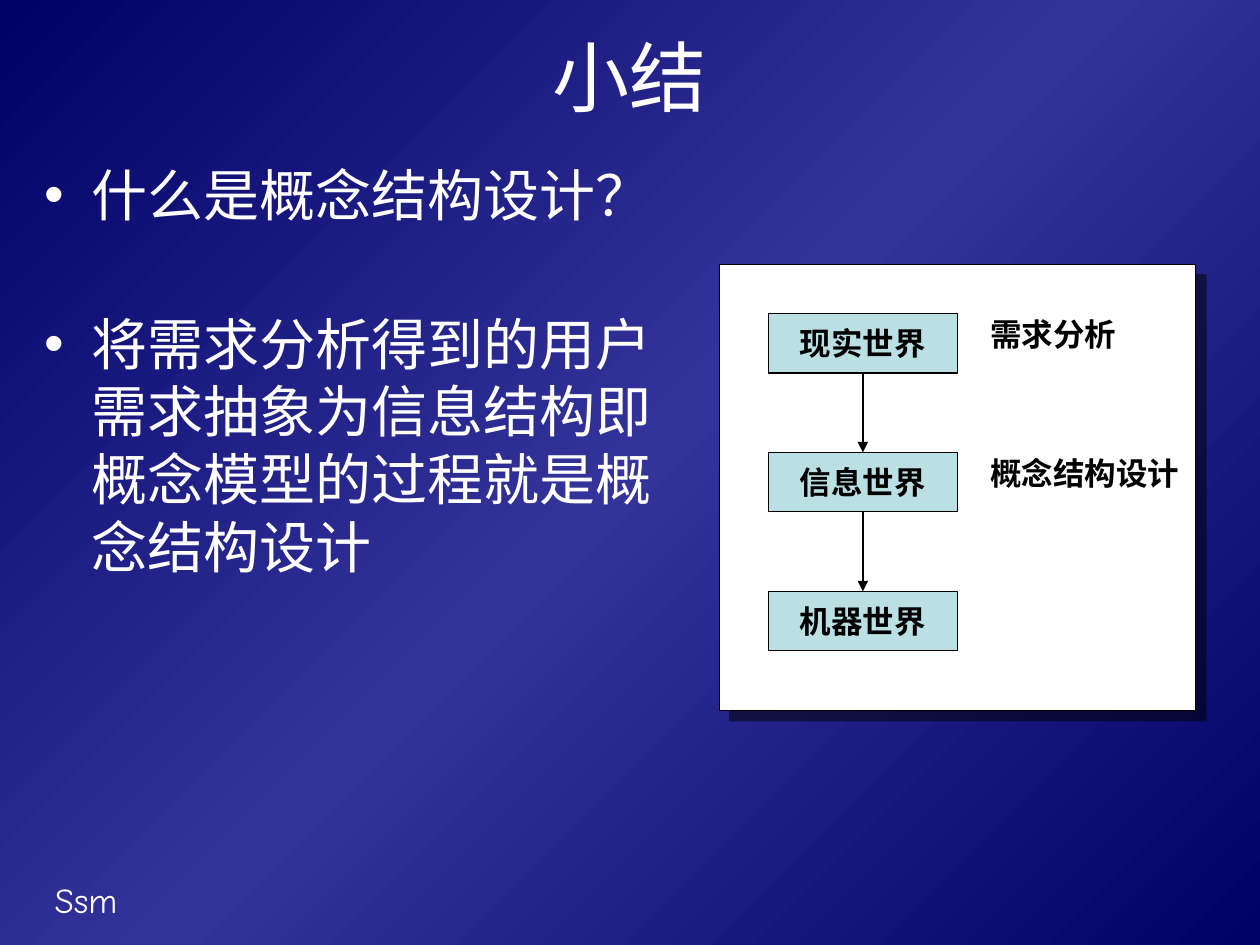
"""Build the summary slide on conceptual structure design."""
from copy import deepcopy
from dataclasses import dataclass

from lxml.etree import SubElement
from pptx import Presentation
from pptx.dml.color import RGBColor
from pptx.enum.shapes import MSO_CONNECTOR as Link, MSO_SHAPE as Preset
from pptx.enum.text import MSO_ANCHOR as Anchor, PP_ALIGN as Align
from pptx.oxml.ns import qn
from pptx.util import Cm, Pt

HAN = "Noto Sans CJK SC"
WHITE, BLACK, NAVY, INDIGO, PALE = "FFFFFF", "000000", "000066", "333399", "BBE0E3"
STAGE_LEFT, STAGE_TOP, STAGE_WIDTH, STAGE_HEIGHT, STAGE_PITCH = 15.49, 6.32, 3.81, 1.2, 2.8
LINE_PITCH, BULLET_GAP = 38.6, 8


@dataclass
class Area:
    left: float
    top: float
    width: float
    height: float

    def lengths(self):
        return [Cm(v) for v in (self.left, self.top, self.width, self.height)]


@dataclass
class Style:
    face: str
    size: float
    color: str
    bold: bool = False


@dataclass
class Stage:
    world: str
    task: str = ""


HEADING = Style(HAN, 44, WHITE)
BODY = Style(HAN, 32, WHITE)
FOOTER = Style("Comic Neue", 20, WHITE)
DIAGRAM = Style("Arial", 18, BLACK, True)
STAGES = [
    Stage("现实世界", "需求分析"),
    Stage("信息世界", "概念结构设计"),
    Stage("机器世界"),
]
POINTS = [
    "什么是概念结构设计？",
    "将需求分析得到的用户\n需求抽象为信息结构即\n概念模型的过程就是概\n念结构设计",
]


def rgb(color: str) -> RGBColor:
    return RGBColor.from_string(color)


def format_runs(paragraph, style: Style) -> None:
    for run in paragraph.runs:
        font = run.font
        font.name, font.size, font.bold = style.face, Pt(style.size), style.bold
        font.color.rgb = rgb(style.color)
        SubElement(font._element, qn("a:ea"), typeface=HAN)


def add_text(slide, area: Area, text: str, style: Style, align=Align.LEFT, anchor=Anchor.TOP) -> None:
    frame = slide.shapes.add_textbox(*area.lengths()).text_frame
    frame.word_wrap, frame.vertical_anchor = True, anchor
    frame.text = text
    frame.paragraphs[0].alignment = align
    format_runs(frame.paragraphs[0], style)


def add_points(slide, area: Area, points: list[str]) -> None:
    frame = slide.shapes.add_textbox(*area.lengths()).text_frame
    frame.word_wrap = True
    for index, point in enumerate(points):
        paragraph = frame.add_paragraph() if index else frame.paragraphs[0]
        paragraph.text = point
        paragraph.line_spacing = Pt(LINE_PITCH)
        paragraph.space_before = Pt(LINE_PITCH + BULLET_GAP if index else 0)
        props = paragraph._p.get_or_add_pPr()
        props.set("marL", str(Cm(0.95)))
        props.set("indent", str(-Cm(0.95)))
        bullet_color = SubElement(props, qn("a:buClr"))
        SubElement(bullet_color, qn("a:srgbClr"), val=WHITE)
        SubElement(props, qn("a:buFont"), typeface="Arial")
        SubElement(props, qn("a:buChar"), char="•")
        format_runs(paragraph, BODY)


def add_box(slide, area: Area, color: str):
    box = slide.shapes.add_shape(Preset.RECTANGLE, *area.lengths())
    box.shadow.inherit = False
    box.fill.solid()
    box.fill.fore_color.rgb = rgb(color)
    box.line.color.rgb = rgb(BLACK)
    box.line.width = Pt(0.75)
    return box


def add_panel(slide, area: Area) -> None:
    panel = add_box(slide, area, WHITE)
    effects = panel._element.spPr.find(qn("a:effectLst"))
    shadow = SubElement(effects, qn("a:outerShdw"), dist=str(Pt(8.5)), dir="2700000", algn="ctr", rotWithShape="0")
    shade = SubElement(shadow, qn("a:srgbClr"), val=BLACK)
    SubElement(shade, qn("a:alpha"), val="50000")


def add_stage(slide, stage: Stage, top: float) -> None:
    box = add_box(slide, Area(STAGE_LEFT, top, STAGE_WIDTH, STAGE_HEIGHT), PALE)
    frame = box.text_frame
    frame.word_wrap, frame.vertical_anchor = False, Anchor.MIDDLE
    frame.text = stage.world
    frame.paragraphs[0].alignment = Align.CENTER
    format_runs(frame.paragraphs[0], DIAGRAM)
    if stage.task:
        add_text(slide, Area(19.71, top - 0.09, 4.8, 1.02), stage.task, DIAGRAM)


def add_arrow(slide, x: float, start: float, end: float) -> None:
    arrow = slide.shapes.add_connector(Link.STRAIGHT, Cm(x), Cm(start), Cm(x), Cm(end))
    arrow.line.color.rgb = rgb(BLACK)
    arrow.line.width = Pt(0.75)
    SubElement(arrow.line._get_or_add_ln(), qn("a:tailEnd"), type="triangle")
    SubElement(arrow._element.spPr, qn("a:effectLst"))


def paint_background(slide) -> None:
    fill = slide.background.fill
    fill.gradient()
    fill.gradient_angle = 315
    stop_list = slide.element.find(".//" + qn("a:gsLst"))
    stop_list.append(deepcopy(stop_list[-1]))
    for stop, color, position in zip(fill.gradient_stops, (NAVY, INDIGO, NAVY), (0, 0.5, 1)):
        stop.color.rgb = rgb(color)
        stop.position = position


def main() -> None:
    deck = Presentation()
    deck.slide_width, deck.slide_height = Cm(25.4), Cm(19.05)
    slide = deck.slides.add_slide(deck.slide_layouts[6])
    paint_background(slide)
    add_text(slide, Area(0.85, 17.58, 5.28, 1.12), "Ssm", FOOTER)
    add_text(slide, Area(1.27, 0.43, 22.86, 2.21), "小结", HEADING, Align.CENTER, Anchor.MIDDLE)
    add_points(slide, Area(0.64, 3.1, 24.33, 14.48), POINTS)
    add_panel(slide, Area(14.5, 5.33, 9.6, 8.99))
    for index, stage in enumerate(STAGES):
        top = STAGE_TOP + index * STAGE_PITCH
        add_stage(slide, stage, top)
        if index:
            add_arrow(slide, STAGE_LEFT + STAGE_WIDTH / 2, top - STAGE_PITCH + STAGE_HEIGHT, top)
    deck.save("out.pptx")


if __name__ == "__main__":
    main()
